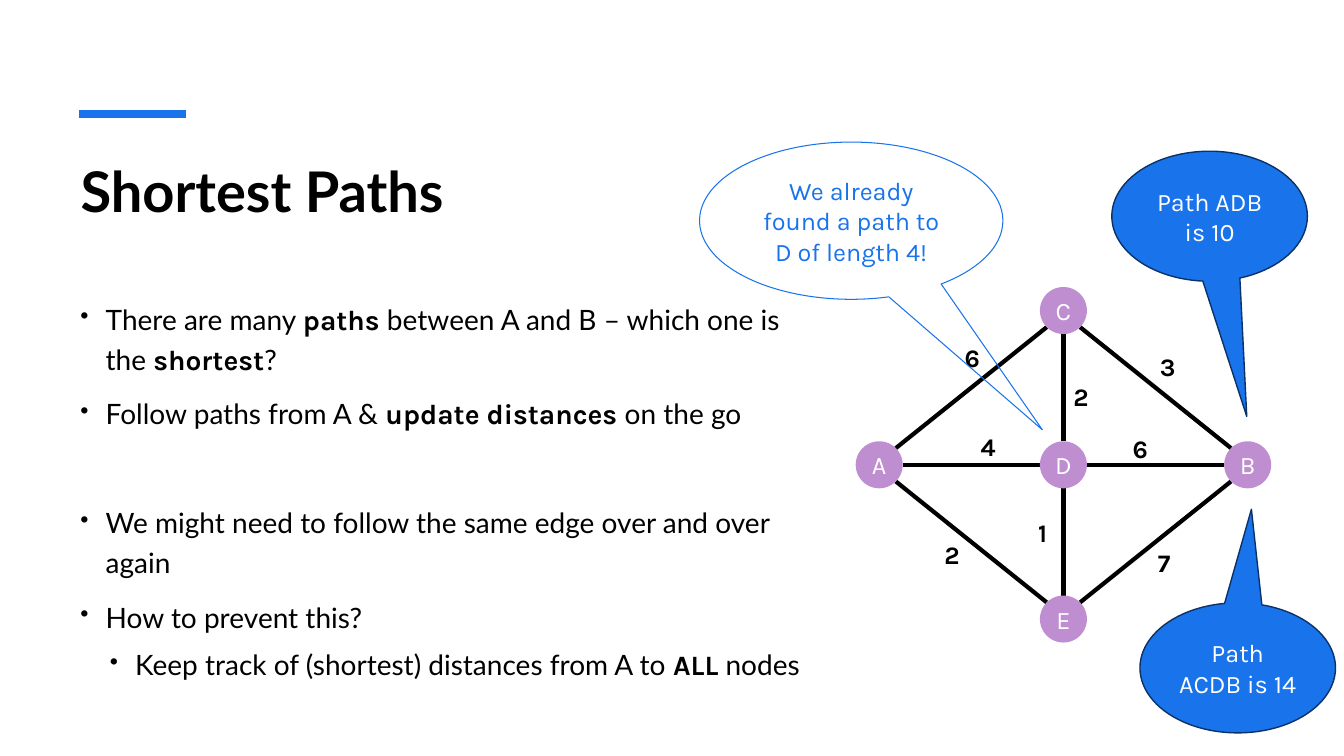
"""Build the Shortest Paths slide with a weighted graph and speech bubbles."""
from math import hypot
from lxml import etree
from pptx import Presentation
from pptx.dml.color import RGBColor
from pptx.enum.shapes import MSO_CONNECTOR, MSO_SHAPE
from pptx.enum.text import MSO_ANCHOR, PP_ALIGN
from pptx.oxml.ns import qn
from pptx.util import Pt

LINE = MSO_CONNECTOR.STRAIGHT
OVAL = MSO_SHAPE.OVAL
BUBBLE = MSO_SHAPE.OVAL_CALLOUT
TOP, MIDDLE = MSO_ANCHOR.TOP, MSO_ANCHOR.MIDDLE
LEFT, CENTER = PP_ALIGN.LEFT, PP_ALIGN.CENTER

BLUE, NAVY, PURPLE = "1973EB", "0B3267", "BF8ED1"
BLACK, WHITE = "000000", "FFFFFF"

TITLE = "Shortest Paths"
POINTS = [
    (0, 10, "There are many **paths **between A and B – which one is the **shortest**?"),
    (0, 10, "Follow paths from A & **update distances** on the go"),
    (0, 49, "We might need to follow the same edge over and over again"),
    (0, 10, "How to prevent this?"),
    (1, 5, "Keep track of (shortest) distances from A to **ALL **nodes"),
]
INDENTS = [18, 39]
NODES = {"A": (-1, 0), "B": (1, 0), "C": (0, -1), "D": (0, 0), "E": (0, 1)}
EDGES = [
    ("A", "C", "6", 682, 241), ("A", "E", "2", 667.5, 381.6),
    ("E", "B", "7", 820, 387.4), ("A", "D", "4", 693.4, 304.6),
    ("C", "D", "2", 759.6, 268.6), ("C", "B", "3", 821.5, 247.7),
    ("D", "B", "6", 802, 306), ("D", "E", "1", 734.4, 365.8),
]
BUBBLES = [
    ("Path ADB is 10", (794.2, 108, 139.7, 92.9), (0.19, 1.54), BLUE, NAVY, 1, WHITE),
    ("Path ACDB is 14", (814.3, 430.6, 139.7, 92.9), (0.07, -1.22), BLUE, NAVY, 1, WHITE),
    ("We already found a path to D of length 4!", (499.7, 101.5, 216.7, 112.3),
     (0.63, 1.33), None, BLUE, 0.75, BLUE),
]
MID_X, MID_Y, STEP_X, STEP_Y, RADIUS = 759.6, 332, 131.6, 110.2, 16.8


def color(code):
    return RGBColor.from_string(code)


def style(item, **form):
    for name, value in form.items():
        setattr(item, name, value)


def write(par, text, font, size, ink, bold=False):
    run = par.add_run()
    run.text = text
    style(run.font, name=font, size=Pt(size), bold=bold)
    run.font.color.rgb = color(ink)


def draw_line(slide, start, end, ink, width):
    line = slide.shapes.add_connector(LINE, *map(Pt, start + end))
    line.line.color.rgb = color(ink)
    line.line.width = Pt(width)
    etree.SubElement(line.element.spPr, qn("a:effectLst"))


def draw_shape(slide, kind, box, text, fill, edge, width, ink):
    shape = slide.shapes.add_shape(kind, *map(Pt, box))
    shape.shadow.inherit = False
    for part, code in ((shape.fill, fill), (shape.line.fill, edge)):
        if code:
            part.solid()
            part.fore_color.rgb = color(code)
        else:
            part.background()
    if edge:
        shape.line.width = Pt(width)
    shape.text_frame.vertical_anchor = MIDDLE
    par = shape.text_frame.paragraphs[0]
    par.alignment = CENTER
    write(par, text, "Karla", 18, ink)
    return shape


def add_bullet(par, indent):
    props = par._p.get_or_add_pPr()
    props.set("marL", str(Pt(indent)))
    props.set("indent", str(-Pt(18)))
    etree.SubElement(props, qn("a:buSzPct"), val="87000")
    etree.SubElement(props, qn("a:buChar"), char="•")


def add_title(slide):
    title = slide.shapes.title
    style(title, left=Pt(50.4), top=Pt(108), width=Pt(857.5), height=Pt(86.4))
    style(title.text_frame, vertical_anchor=TOP, word_wrap=True)
    par = title.text_frame.paragraphs[0]
    par.alignment = LEFT
    write(par, TITLE, "Lato", 40, BLACK, True)


def add_points(slide):
    frame = slide.shapes.add_textbox(*map(Pt, (50.4, 207.4, 534.2, 340.6))).text_frame
    frame.word_wrap = True
    for i, (level, gap, text) in enumerate(POINTS):
        par = frame.add_paragraph() if i else frame.paragraphs[0]
        style(par, level=level, space_before=Pt(gap), line_spacing=1.2)
        add_bullet(par, INDENTS[level])
        for j, part in enumerate(text.split("**")):
            bold = j % 2 == 1
            write(par, part, "Karla" if bold else "Lato", 20, BLACK, bold)


def add_graph(slide):
    spots = {n: (MID_X + c * STEP_X, MID_Y + r * STEP_Y) for n, (c, r) in NODES.items()}
    for start, end, *_ in EDGES:
        (c1, r1), (c2, r2) = NODES[start], NODES[end]
        (x1, y1), (x2, y2) = spots[start], spots[end]
        reach = RADIUS / hypot(c2 - c1, r2 - r1)
        dx, dy = (c2 - c1) * reach, (r2 - r1) * reach
        draw_line(slide, (x1 + dx, y1 + dy), (x2 - dx, y2 - dy), BLACK, 3)
    for name, (x, y) in spots.items():
        box = (x - RADIUS, y - RADIUS, 2 * RADIUS, 2 * RADIUS)
        node = draw_shape(slide, OVAL, box, name, PURPLE, None, 0, WHITE)
        style(node.text_frame, word_wrap=False, margin_left=0, margin_right=0,
              margin_top=0, margin_bottom=0)
    for _, _, weight, x, y in EDGES:
        frame = slide.shapes.add_textbox(*map(Pt, (x, y, 24.5, 28.8))).text_frame
        frame.word_wrap = False
        write(frame.paragraphs[0], weight, "Karla", 18, BLACK, True)


def add_bubbles(slide):
    for text, box, tip, fill, edge, width, ink in BUBBLES:
        bubble = draw_shape(slide, BUBBLE, box, text, fill, edge, width, ink)
        for i, value in enumerate(tip):
            bubble.adjustments[i] = value


def main():
    deck = Presentation()
    style(deck, slide_width=Pt(960), slide_height=Pt(540))
    slide = deck.slides.add_slide(deck.slide_layouts[5])
    draw_line(slide, (56.2, 81.4), (133.2, 81.4), BLUE, 6)
    add_title(slide)
    add_points(slide)
    add_graph(slide)
    add_bubbles(slide)
    deck.save("out.pptx")


if __name__ == "__main__":
    main()
